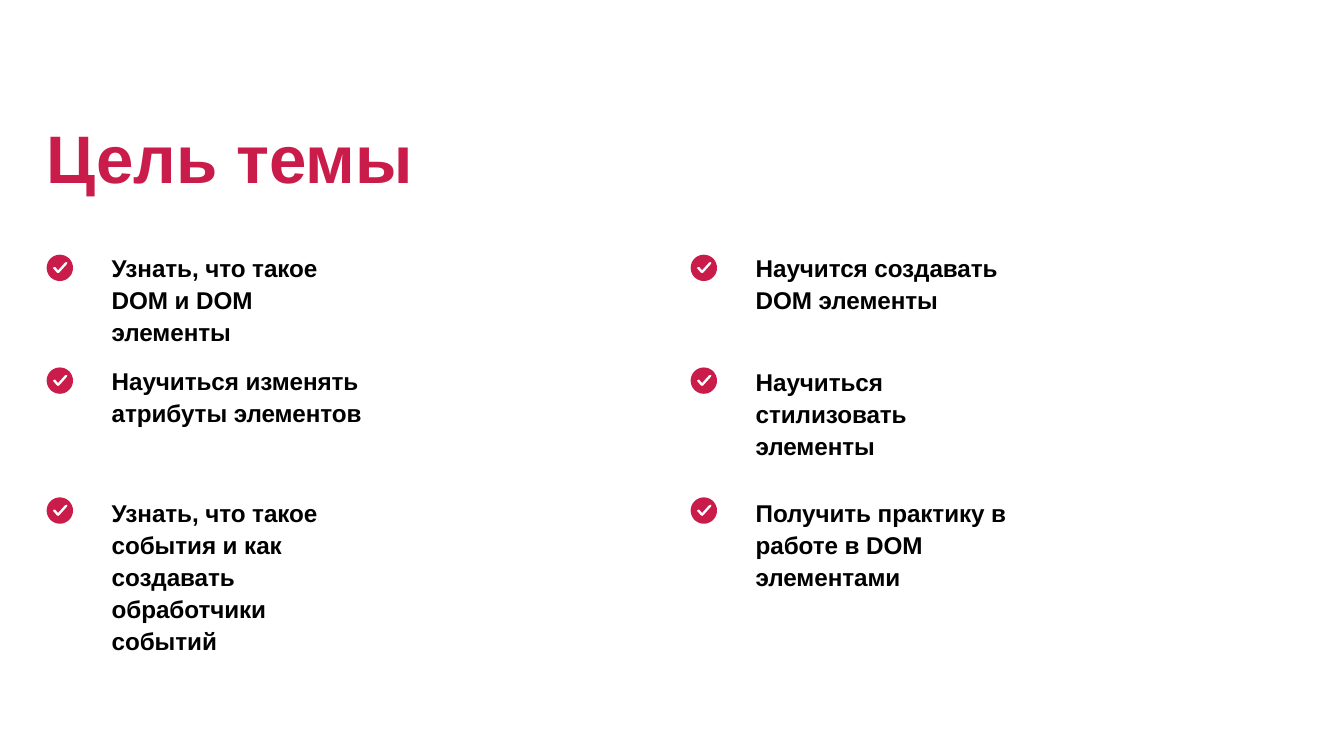
from math import cos, pi, sin

from lxml.etree import SubElement
from pptx import Presentation
from pptx.dml.color import RGBColor
from pptx.enum.text import MSO_ANCHOR, MSO_AUTO_SIZE, PP_ALIGN
from pptx.oxml.ns import qn
from pptx.util import Pt

TITLE = "Цель темы"
COLUMNS = [
    {
        "left": 50,
        "height": 435,
        "goals": [
            ("Узнать, что такое DOM и DOM элементы", 0),
            ("Научиться изменять атрибуты элементов", 18),
            ("Узнать, что такое события и как создавать обработчики событий", 73),
        ],
    },
    {
        "left": 740,
        "height": 366.5,
        "goals": [
            ("Научится создавать DOM элементы", 0),
            ("Научиться стилизовать элементы", 53.5),
            ("Получить практику в работе в DOM элементами", 37.5),
        ],
    },
]
ICON_TOPS = [272.9, 393.7, 532.9]
ICON_RADIUS = 14.1
TICK = [
    (20.9, 7.9), (19.4, 8.5), (12.2, 16.5), (9.3, 13.1), (7.9, 13),
    (6.5, 14.2), (7.2, 15.1), (10.8, 19.3), (12.2, 19.9), (13.6, 19.3),
    (21.8, 10.1), (22.3, 8.6), (21.6, 7.9),
]
CRIMSON, BLACK = "C91C4B", "000000"
TEXT_TOP, TEXT_OFFSET, TEXT_WIDTH = 266.4, 68.7, 272


def color(target, value):
    target.rgb = RGBColor.from_string(value)


def place(sp, left, top, width, height):
    sp.left, sp.top, sp.width, sp.height = map(Pt, (left, top, width, height))
    tf = sp.text_frame
    tf.word_wrap = True
    tf.vertical_anchor = MSO_ANCHOR.TOP
    tf.margin_left = tf.margin_right = tf.margin_bottom = 0
    tf.margin_top = Pt(1.5)
    return tf


def style(p, size, value):
    p.alignment = PP_ALIGN.LEFT
    for r in p.runs:
        r.font.name = "Arial"
        r.font.size = Pt(size)
        r.font.bold = True
        color(r.font.color, value)


def add_goals(sp, column):
    left = column["left"] + TEXT_OFFSET
    tf = place(sp, left, TEXT_TOP, TEXT_WIDTH, column["height"])
    tf.auto_size = MSO_AUTO_SIZE.SHAPE_TO_FIT_TEXT
    tf.text = "\n".join(text for text, gap in column["goals"])
    for p, (text, gap) in zip(tf.paragraphs, column["goals"]):
        pPr = p._p.get_or_add_pPr()
        pPr.set("marL", str(Pt(1)))
        pPr.set("indent", "0")
        SubElement(pPr, qn("a:buNone"))
        p.line_spacing = 1.1
        p.space_before = Pt(gap)
        style(p, 26, BLACK)
        for r in p.runs:
            r.font._element.set("spc", "-10")


def add_check(s, left, top):
    angles = [2 * pi * i / 36 for i in range(36)]
    circle = [(ICON_RADIUS * (1 + cos(a)), ICON_RADIUS * (1 + sin(a))) for a in angles]
    disc, tick = [
        [(Pt(left + x), Pt(top + y)) for x, y in outline] for outline in (circle, TICK)
    ]
    builder = s.shapes.build_freeform(*disc[0])
    builder.add_line_segments(disc[1:])
    builder.move_to(*tick[0])
    builder.add_line_segments(tick[1:])
    sp = builder.convert_to_shape()
    sp.shadow.inherit = False
    sp.fill.solid()
    color(sp.fill.fore_color, CRIMSON)
    sp.line.fill.background()


def main():
    prs = Presentation()
    prs.slide_width, prs.slide_height = Pt(1440), Pt(810)
    s = prs.slides.add_slide(prs.slide_layouts[3])

    tf = place(s.shapes.title, 49.9, 123.1, 1153.4, 136.1)
    tf.text = TITLE
    style(tf.paragraphs[0], 72, CRIMSON)

    for sp, column in zip(list(s.placeholders)[1:], COLUMNS):
        add_goals(sp, column)
        for top in ICON_TOPS:
            add_check(s, column["left"], top)

    prs.save("out.pptx")


if __name__ == "__main__":
    main()
